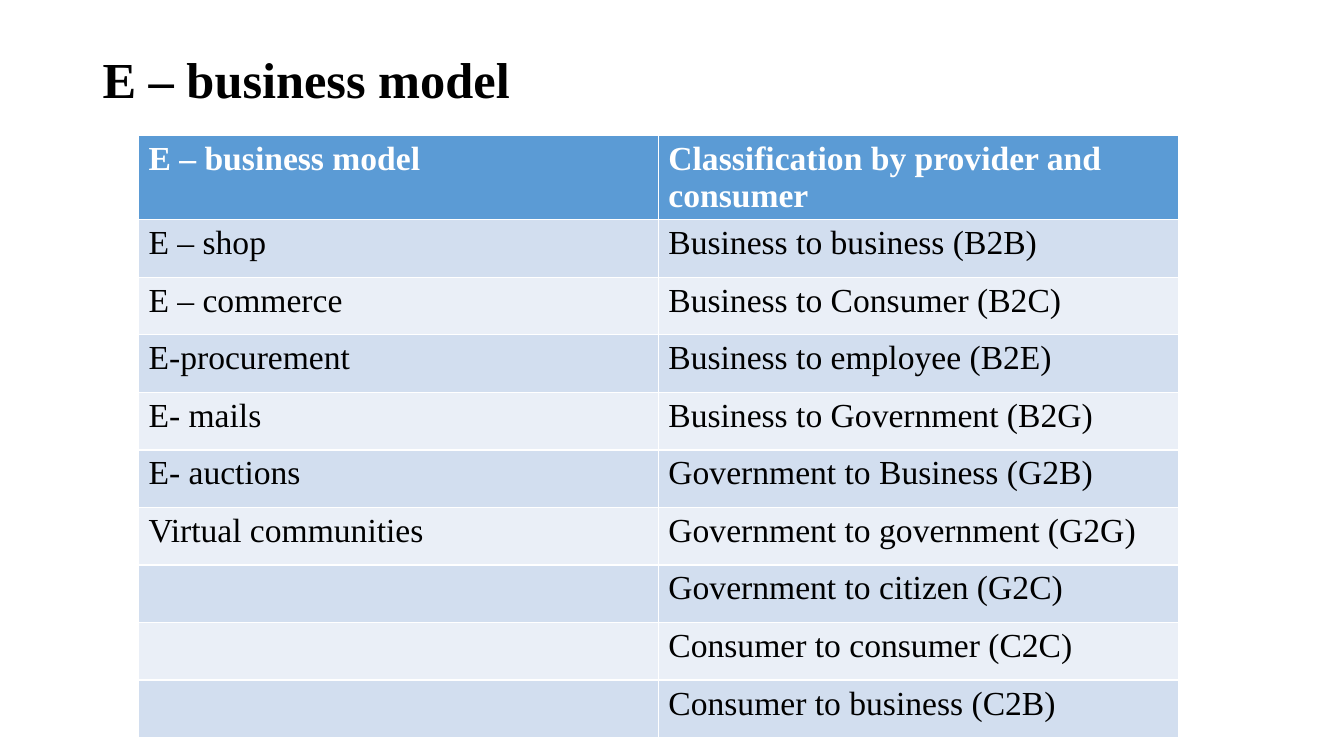
from pptx import Presentation
from pptx.dml.color import RGBColor
from pptx.enum.text import MSO_ANCHOR, PP_ALIGN
from pptx.util import Cm, Pt

BLACK = RGBColor(0x00, 0x00, 0x00)
WHITE = RGBColor(0xFF, 0xFF, 0xFF)
HEADER_BLUE = RGBColor(0x5B, 0x9B, 0xD5)
BAND_DARK = RGBColor(0xD2, 0xDE, 0xEF)
BAND_LIGHT = RGBColor(0xEA, 0xEF, 0xF7)
FONT = "Times New Roman"

ROWS = [
    ("E – business model", "Classification by provider and consumer"),
    ("E – shop", "Business to business (B2B)"),
    ("E – commerce", "Business to Consumer (B2C)"),
    ("E-procurement", "Business to employee (B2E)"),
    ("E- mails", "Business to Government (B2G)"),
    ("E- auctions", "Government to Business (G2B)"),
    ("Virtual communities", "Government to government (G2G)"),
    ("", "Government to citizen (G2C)"),
    ("", "Consumer to consumer (C2C)"),
    ("", "Consumer to business (C2B)"),
]
COL_WIDTH = Cm(13.1)
ROW_HEIGHT = Cm(1.45)


def add_run(p, text, size, color, bold):
    r = p.add_run()
    r.text = text
    r.font.name = FONT
    r.font.size = Pt(size)
    r.font.bold = bold
    r.font.color.rgb = color


prs = Presentation()
prs.slide_width = Cm(33.87)
prs.slide_height = Cm(19.05)
s = prs.slides.add_slide(prs.slide_layouts[5])

title = s.shapes.title
title.left, title.top = Cm(2.33), Cm(1.02)
title.width, title.height = Cm(29.21), Cm(2.08)
tf = title.text_frame
tf.word_wrap = True
tf.vertical_anchor = MSO_ANCHOR.MIDDLE
p = tf.paragraphs[0]
p.alignment = PP_ALIGN.LEFT
p.line_spacing = 0.9
add_run(p, "E – business model", 36, BLACK, True)

# The default table style supplies the white cell borders.
table = s.shapes.add_table(
    len(ROWS), 2, Cm(3.49), Cm(3.41), COL_WIDTH * 2, ROW_HEIGHT * len(ROWS)
).table
for column in table.columns:
    column.width = COL_WIDTH

for i, texts in enumerate(ROWS):
    is_header = i == 0
    band = BAND_DARK if i % 2 else BAND_LIGHT
    for j, text in enumerate(texts):
        cell = table.cell(i, j)
        cell.fill.solid()
        cell.fill.fore_color.rgb = HEADER_BLUE if is_header else band
        if text:
            color = WHITE if is_header else BLACK
            add_run(cell.text_frame.paragraphs[0], text, 24, color, is_header)

prs.save("out.pptx")
